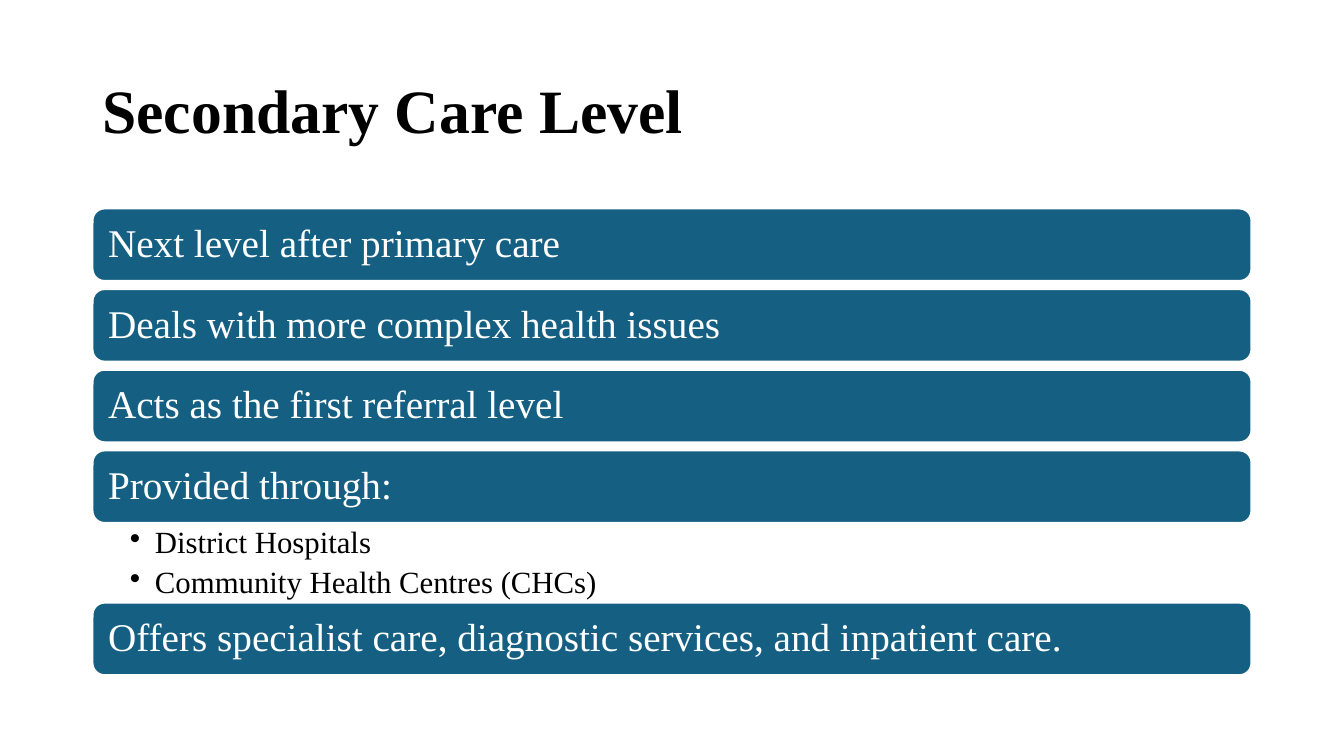
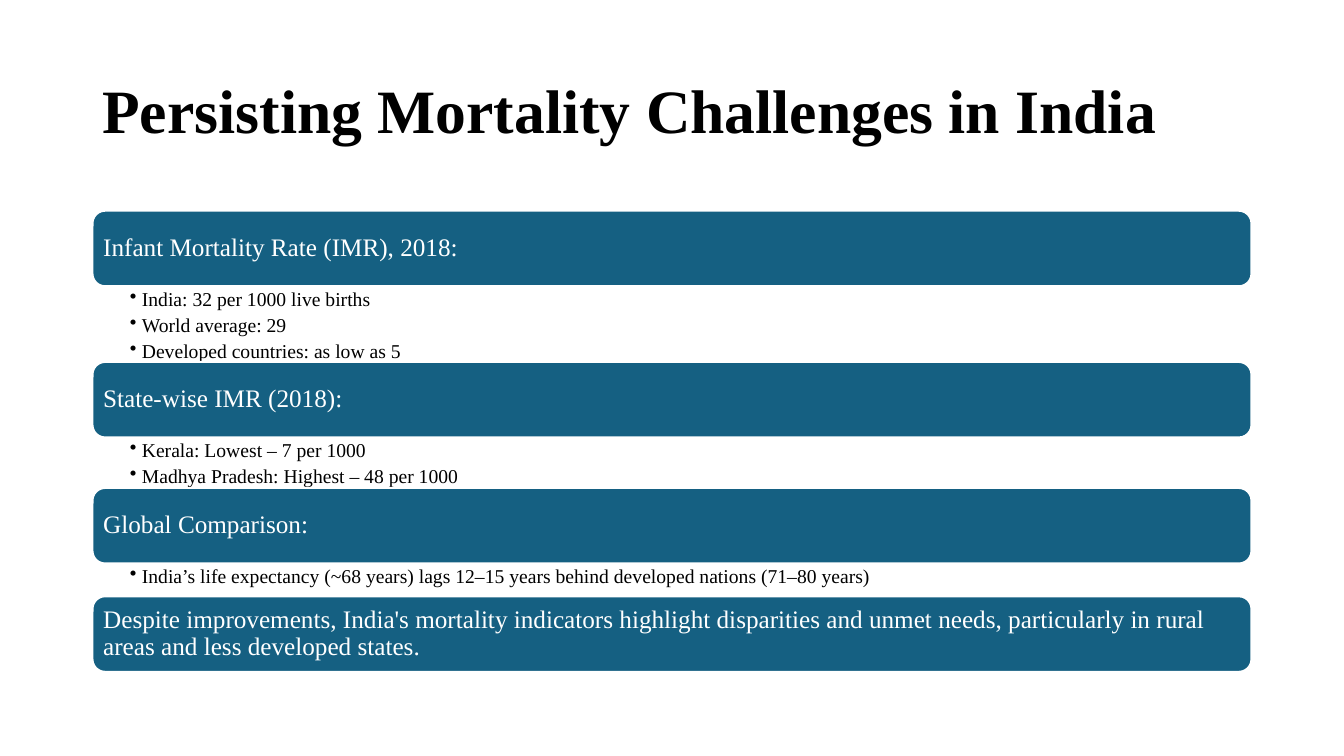
from dataclasses import dataclass

from lxml import etree
from pptx import Presentation
from pptx.dml.color import RGBColor
from pptx.enum.shapes import MSO_SHAPE
from pptx.enum.text import MSO_ANCHOR, PP_ALIGN
from pptx.oxml.ns import qn
from pptx.util import Inches, Pt

ROUNDED = MSO_SHAPE.ROUNDED_RECTANGLE
TOP, MIDDLE = MSO_ANCHOR.TOP, MSO_ANCHOR.MIDDLE
LEFT_ALIGNED = PP_ALIGN.LEFT

SLIDE_W, SLIDE_H = Inches(13.33), Inches(7.5)
FONT = "Times New Roman"
TEAL, WHITE, BLACK = "156082", "FFFFFF", "000000"

# Positions and sizes are percentages of the slide's width and height.
MARGIN = 6.88
CONTENT_W = 100 - 2 * MARGIN
TITLE_TOP, TITLE_H = 5.33, 19.33


@dataclass
class ListStyle:
    """Heights are slide percentages, insets inches, text sizes points."""
    top: float
    bar_h: float
    gap: float
    bar_size: int
    bar_inset: float
    bullet_size: int
    bullet_indent: float
    bullet_insets: tuple
    bullet_gap: float


LARGE = ListStyle(top=27.57, bar_h=9.6, gap=1.07, bar_size=28, bar_inset=0.12,
                  bullet_size=22, bullet_indent=0.25,
                  bullet_insets=(0.37, 0.04, 0.22, 0.04), bullet_gap=5)
SMALL = ListStyle(top=27.87, bar_h=10, gap=1.07, bar_size=18, bar_inset=0.07,
                  bullet_size=14, bullet_indent=0.12,
                  bullet_insets=(0.37, 0.03, 0.14, 0.03), bullet_gap=3.5)

# Each section: bar text, bullets, height of the bullet block.
SLIDES = [
    ("Secondary Care Level", LARGE, [
        ("Next level after primary care", [], 0),
        ("Deals with more complex health issues", [], 0),
        ("Acts as the first referral level", [], 0),
        ("Provided through:",
         ["District Hospitals", "Community Health Centres (CHCs)"], 10.53),
        ("Offers specialist care, diagnostic services, and inpatient care.",
         [], 0),
    ]),
    ("Persisting Mortality Challenges in India", SMALL, [
        ("Infant Mortality Rate (IMR), 2018:",
         ["India: 32 per 1000 live births", "World average: 29",
          "Developed countries: as low as 5"], 10),
        ("State-wise IMR (2018):",
         ["Kerala: Lowest – 7 per 1000",
          "Madhya Pradesh: Highest – 48 per 1000"], 6.67),
        ("Global Comparison:",
         ["India’s life expectancy (~68 years) lags 12–15 years behind "
          "developed nations (71–80 years)"], 4.33),
        ("Despite improvements, India's mortality indicators highlight "
         "disparities and unmet needs, particularly in rural areas and less "
         "developed states.", [], 0),
    ]),
]


def color(hex_string):
    return RGBColor.from_string(hex_string)


def content_box(top, height):
    """Left, top, width and height of a full-width row."""
    return (int(SLIDE_W * MARGIN / 100), int(SLIDE_H * top / 100),
            int(SLIDE_W * CONTENT_W / 100), int(SLIDE_H * height / 100))


def set_frame(tf, anchor, insets):
    tf.word_wrap = True
    tf.vertical_anchor = anchor
    (tf.margin_left, tf.margin_top,
     tf.margin_right, tf.margin_bottom) = map(Inches, insets)


def write(p, text, size, hex_string, bold=False):
    p.alignment = LEFT_ALIGNED
    p.line_spacing = 0.9
    r = p.add_run()
    r.text = text
    r.font.name, r.font.size, r.font.bold = FONT, Pt(size), bold
    r.font.color.rgb = color(hex_string)


def set_bullet(p, indent):
    pPr = p._p.get_or_add_pPr()
    pPr.set("marL", str(Inches(indent)))
    pPr.set("indent", str(-Inches(indent)))
    etree.SubElement(pPr, qn("a:buChar")).set("char", "•")


def add_title(slide, text):
    tf = slide.shapes.add_textbox(*content_box(TITLE_TOP, TITLE_H)).text_frame
    set_frame(tf, MIDDLE, (0.1, 0.05, 0.1, 0.05))
    write(tf.paragraphs[0], text, 44, BLACK, bold=True)


def add_bar(slide, top, text, style):
    sp = slide.shapes.add_shape(ROUNDED, *content_box(top, style.bar_h))
    sp.shadow.inherit = False
    sp.fill.solid()
    sp.fill.fore_color.rgb = color(TEAL)
    sp.line.color.rgb = color(WHITE)
    sp.line.width = Pt(1.5)
    set_frame(sp.text_frame, MIDDLE, [style.bar_inset] * 4)
    write(sp.text_frame.paragraphs[0], text, style.bar_size, WHITE)


def add_bullets(slide, top, height, items, style):
    tf = slide.shapes.add_textbox(*content_box(top, height)).text_frame
    set_frame(tf, TOP, style.bullet_insets)
    for i, item in enumerate(items):
        p = tf.add_paragraph() if i else tf.paragraphs[0]
        set_bullet(p, style.bullet_indent)
        p.space_after = Pt(style.bullet_gap)
        write(p, item, style.bullet_size, BLACK)


def add_sections(slide, sections, style):
    """Stack the bars, each followed by its bullets or by a gap."""
    top = style.top
    for heading, items, height in sections:
        add_bar(slide, top, heading, style)
        top += style.bar_h
        if items:
            add_bullets(slide, top, height, items, style)
        top += height if items else style.gap


def main():
    prs = Presentation()
    prs.slide_width, prs.slide_height = SLIDE_W, SLIDE_H
    blank = prs.slide_layouts[6]
    for title, style, sections in SLIDES:
        slide = prs.slides.add_slide(blank)
        add_title(slide, title)
        add_sections(slide, sections, style)
    prs.save("out.pptx")


if __name__ == "__main__":
    main()
